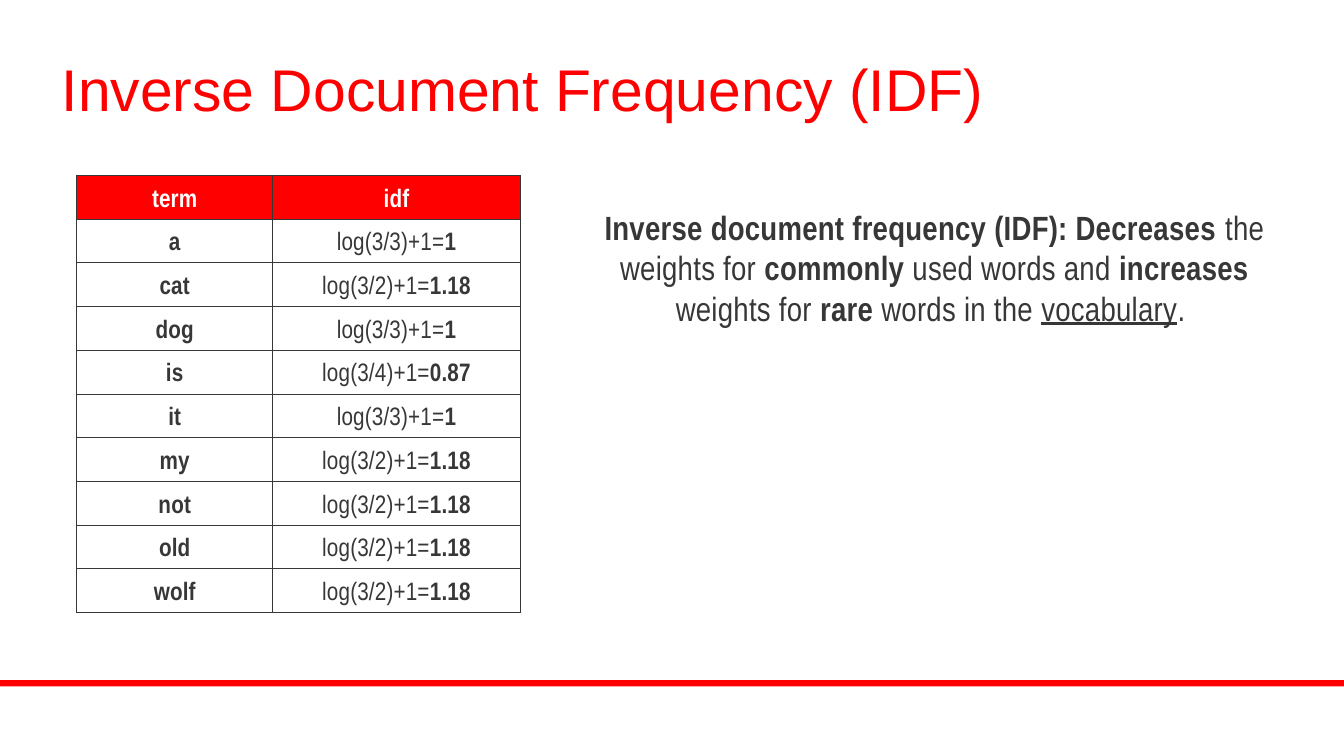
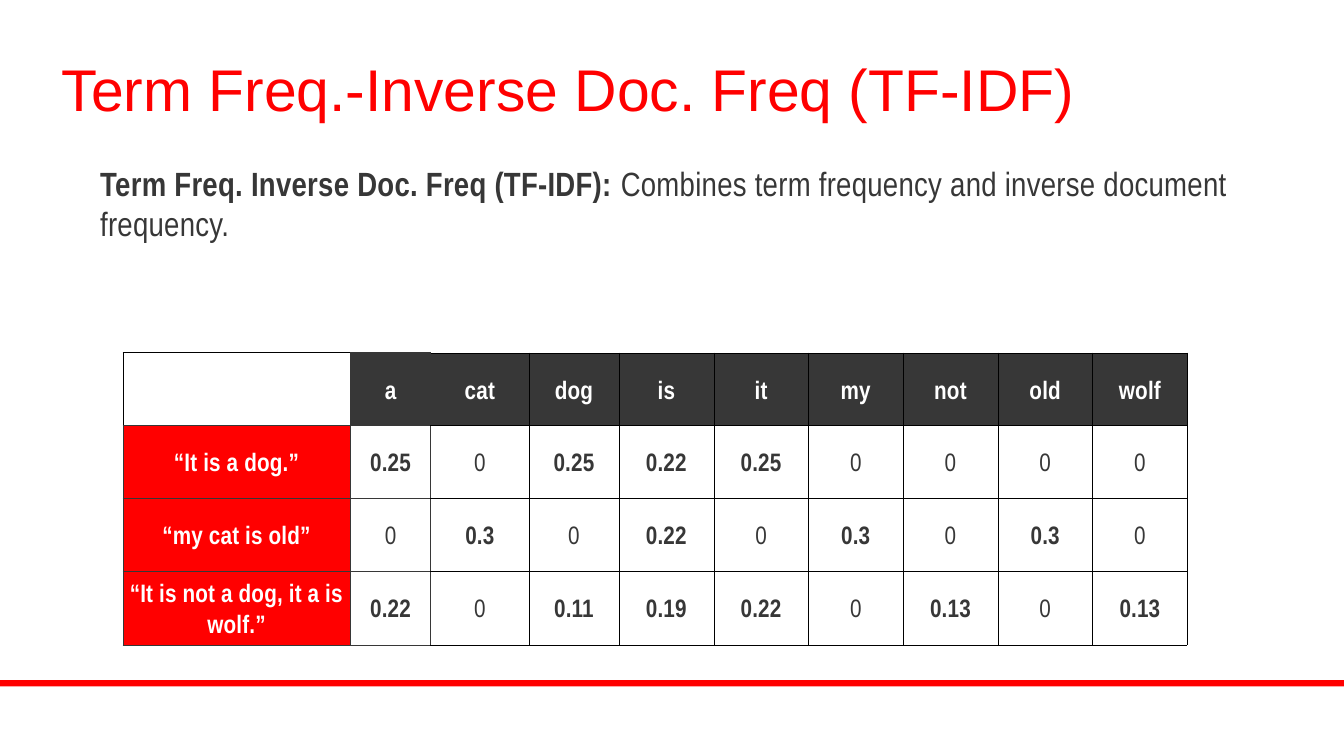
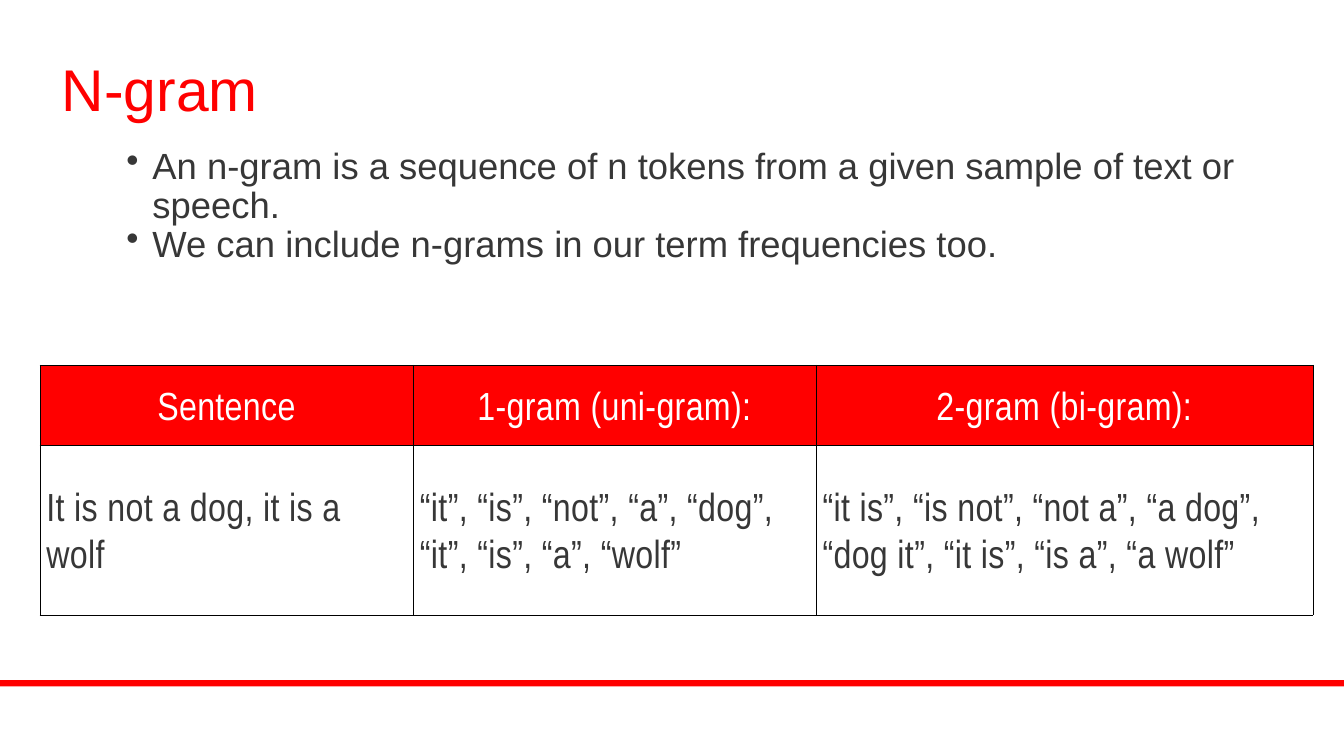
from dataclasses import dataclass

from lxml import etree
from pptx import Presentation
from pptx.dml.color import RGBColor
from pptx.enum import shapes, text
from pptx.oxml import ns
from pptx.util import Pt


@dataclass(frozen=True)
class TextStyle:
    font: str
    size: float
    leading: float
    tracking: float = 0


@dataclass(frozen=True)
class Theme:
    red: str = "FF0000"
    dark: str = "373737"
    white: str = "FFFFFF"
    black: str = "000000"
    title: TextStyle = TextStyle("Arial", 63, 68)
    bullets: TextStyle = TextStyle("Arial", 39, 42.1)
    body: TextStyle = TextStyle("Arial Narrow", 36, 43.2, 0.3)
    cell: TextStyle = TextStyle("Arial Narrow", 27, 32.4, 0.2)
    large_cell: TextStyle = TextStyle("Arial Narrow", 42, 50.4, 0.4)
    cell_margin: float = 7.2


@dataclass(frozen=True)
class Box:
    left: float
    top: float
    width: float
    height: float

    def lengths(self):
        return Pt(self.left), Pt(self.top), Pt(self.width), Pt(self.height)


@dataclass(frozen=True)
class Cell:
    markup: str
    color: str
    fill: str = ""
    align: text.PP_ALIGN = text.PP_ALIGN.CENTER


THEME = Theme()
SLIDE = Box(0, 0, 1440, 810)
LEFT, CENTER = text.PP_ALIGN.LEFT, text.PP_ALIGN.CENTER
NO_TABLE_STYLE = "{2D5ABB26-0587-4C30-8999-92F81FD0307C}"


def segments(markup):
    for i, bold_part in enumerate(markup.split("*")):
        for j, part in enumerate(bold_part.split("_")):
            if part:
                yield part, i % 2 == 1, j % 2 == 1


def write(paragraph, markup, style, color, align=LEFT):
    parts = list(segments(markup))
    all_bold = all(bold for _, bold, _ in parts)
    paragraph.alignment = align
    paragraph.line_spacing = Pt(style.leading)
    font = paragraph.font
    font.name, font.size, font.bold = style.font, Pt(style.size), all_bold
    font.color.rgb = RGBColor.from_string(color)
    for part, bold, underline in parts:
        run = paragraph.add_run()
        run.text = part
        if bold != all_bold:
            run.font.bold = bold
        if underline:
            run.font.underline = True
        if style.tracking:
            run.font._element.set("spc", str(round(style.tracking * 100)))


def add_bullet(paragraph, margin, hanging):
    properties = paragraph._p.get_or_add_pPr()
    properties.set("marL", str(Pt(margin)))
    properties.set("indent", str(-Pt(hanging)))
    bullet = etree.SubElement(properties, ns.qn("a:buChar"))
    bullet.set("char", "•")
    defaults = properties.find(ns.qn("a:defRPr"))
    defaults.addprevious(bullet)


def add_text(slide, box, markups, style, color, align=LEFT, bulleted=False):
    frame = slide.shapes.add_textbox(*box.lengths()).text_frame
    frame.word_wrap = True
    frame.margin_left = frame.margin_top = frame.margin_right = frame.margin_bottom = 0
    for index, markup in enumerate(markups):
        paragraph = frame.add_paragraph() if index else frame.paragraphs[0]
        write(paragraph, markup, style, color, align)
        if bulleted:
            add_bullet(paragraph, 55.4, 28.1)


def set_borders(cell, borders):
    properties = cell._tc.get_or_add_tcPr()
    for side, (color, width) in zip("LRTB", borders):
        line = etree.SubElement(properties, ns.qn(f"a:ln{side}"), w=str(Pt(width)))
        fill = etree.SubElement(line, ns.qn("a:solidFill"))
        etree.SubElement(fill, ns.qn("a:srgbClr"), val=color)


def add_table(slide, left, top, widths, heights, rows, style, borders_at):
    box = Box(left, top, sum(widths), sum(heights))
    table = slide.shapes.add_table(len(heights), len(widths), *box.lengths()).table
    table.first_row = table.horz_banding = False
    table._tbl.tblPr.find(ns.qn("a:tableStyleId")).text = NO_TABLE_STYLE
    for column, width in zip(table.columns, widths):
        column.width = Pt(width)
    for row, height in zip(table.rows, heights):
        row.height = Pt(height)
    for row_index, row in enumerate(rows):
        for column_index, content in enumerate(row):
            cell = table.cell(row_index, column_index)
            set_borders(cell, borders_at(row_index, column_index))
            if content.fill:
                cell.fill.solid()
                cell.fill.fore_color.rgb = RGBColor.from_string(content.fill)
            else:
                cell.fill.background()
            cell.vertical_anchor = text.MSO_ANCHOR.MIDDLE
            margin = Pt(THEME.cell_margin)
            cell.margin_left = cell.margin_right = margin
            cell.margin_top = cell.margin_bottom = margin
            write(cell.text_frame.paragraphs[0], content.markup, style,
                  content.color, content.align)


def add_base_slide(presentation, title):
    slide = presentation.slides.add_slide(presentation.slide_layouts[6])
    band = slide.shapes.add_shape(
        shapes.MSO_SHAPE.RECTANGLE, *Box(0, 728.8, SLIDE.width, 6.8).lengths())
    band.shadow.inherit = False
    band.fill.solid()
    band.fill.fore_color.rgb = RGBColor.from_string(THEME.red)
    band.line.fill.background()
    add_text(slide, Box(66.2, 64.1, 1227.6, 71.3), [title], THEME.title, THEME.red)
    return slide


def add_idf_slide(presentation):
    slide = add_base_slide(presentation, "Inverse Document Frequency (IDF)")
    weights = [
        ("a", "3/3", "1"), ("cat", "3/2", "1.18"), ("dog", "3/3", "1"),
        ("is", "3/4", "0.87"), ("it", "3/3", "1"), ("my", "3/2", "1.18"),
        ("not", "3/2", "1.18"), ("old", "3/2", "1.18"), ("wolf", "3/2", "1.18"),
    ]
    rows = [[Cell(f"*{name}*", THEME.white, THEME.red) for name in ("term", "idf")]]
    rows += [[Cell(f"*{term}*", THEME.dark),
              Cell(f"log({ratio})+1=*{weight}*", THEME.dark)]
             for term, ratio, weight in weights]
    add_table(slide, 82.1, 187.9, [210.2, 265], [46.5] * len(rows), rows,
              THEME.cell, lambda row, column: [(THEME.dark, 1)] * 4)
    definition = ("*Inverse document frequency (IDF): Decreases* the weights for "
                  "*commonly* used words and *increases* weights for *rare* words "
                  "in the _vocabulary_. ")
    add_text(slide, Box(611.3, 221.8, 779.8, 134.6), [definition],
             THEME.body, THEME.dark, CENTER)


def tf_idf_borders(row, column):
    thick, thin, edge = (THEME.dark, 1), (THEME.black, 0.37), (THEME.black, 1)
    if row == column == 0:
        return [edge, thick, edge, thick]
    if column < 2:
        return [thick] * 4
    return [thick if column == 2 else thin, thin, thin, thin]


def add_tf_idf_slide(presentation):
    slide = add_base_slide(presentation, "Term Freq.-Inverse Doc. Freq (TF-IDF)")
    definition = ("*Term Freq. Inverse Doc. Freq (TF-IDF): *Combines term frequency "
                  "and inverse document frequency.")
    add_text(slide, Box(107.3, 174.2, 1255, 90.7), [definition], THEME.body, THEME.dark)
    terms = ["a", "cat", "dog", "is", "it", "my", "not", "old", "wolf"]
    scores = {
        "“It is a dog.”": ["0.25", "0", "0.25", "0.22", "0.25", "0", "0", "0", "0"],
        "“my cat is old”": ["0", "0.3", "0", "0.22", "0", "0.3", "0", "0.3", "0"],
        "“It is not a dog, it a is wolf.”":
            ["0.22", "0", "0.11", "0.19", "0.22", "0", "0.13", "0", "0.13"],
    }
    rows = [[Cell("", THEME.dark)]
            + [Cell(f"*{term}*", THEME.white, THEME.dark) for term in terms]]
    for sentence, values in scores.items():
        rows.append([Cell(f"*{sentence}*", THEME.white, THEME.red)] + [
            Cell(value if value == "0" else f"*{value}*", THEME.dark)
            for value in values])
    add_table(slide, 131.8, 378, [243.4, 86.4, 105.1, 96.5] + [101.5] * 6,
              [78] * len(rows), rows, THEME.cell, tf_idf_borders)


def add_n_gram_slide(presentation):
    slide = add_base_slide(presentation, "N-gram")
    points = [
        "An n-gram is a sequence of n tokens from a given sample of text or speech.",
        "We can include n-grams in our term frequencies too.",
    ]
    add_text(slide, Box(108, 157.7, 1266.5, 566.6), points,
             THEME.bullets, THEME.dark, bulleted=True)
    headings = ["Sentence", "1-gram (uni-gram):", "2-gram (bi-gram):"]
    examples = [
        "It is not a dog, it is a wolf",
        "“it”, “is”, “not”, “a”, “dog”, “it”, “is”, “a”, “wolf”",
        "“it is”, “is not”, “not a”, “a dog”, “dog it”, “it is”, “is a”, “a wolf”",
    ]
    rows = [[Cell(heading, THEME.white, THEME.red) for heading in headings],
            [Cell(example, THEME.dark, align=LEFT) for example in examples]]
    add_table(slide, 42.5, 391, [400.3, 431.3, 532.8], [85.7, 182.2], rows,
              THEME.large_cell, lambda row, column: [(THEME.black, 0.37)] * 4)


def main():
    presentation = Presentation()
    presentation.slide_width, presentation.slide_height = Pt(SLIDE.width), Pt(SLIDE.height)
    add_idf_slide(presentation)
    add_tf_idf_slide(presentation)
    add_n_gram_slide(presentation)
    presentation.save("out.pptx")


if __name__ == "__main__":
    main()
